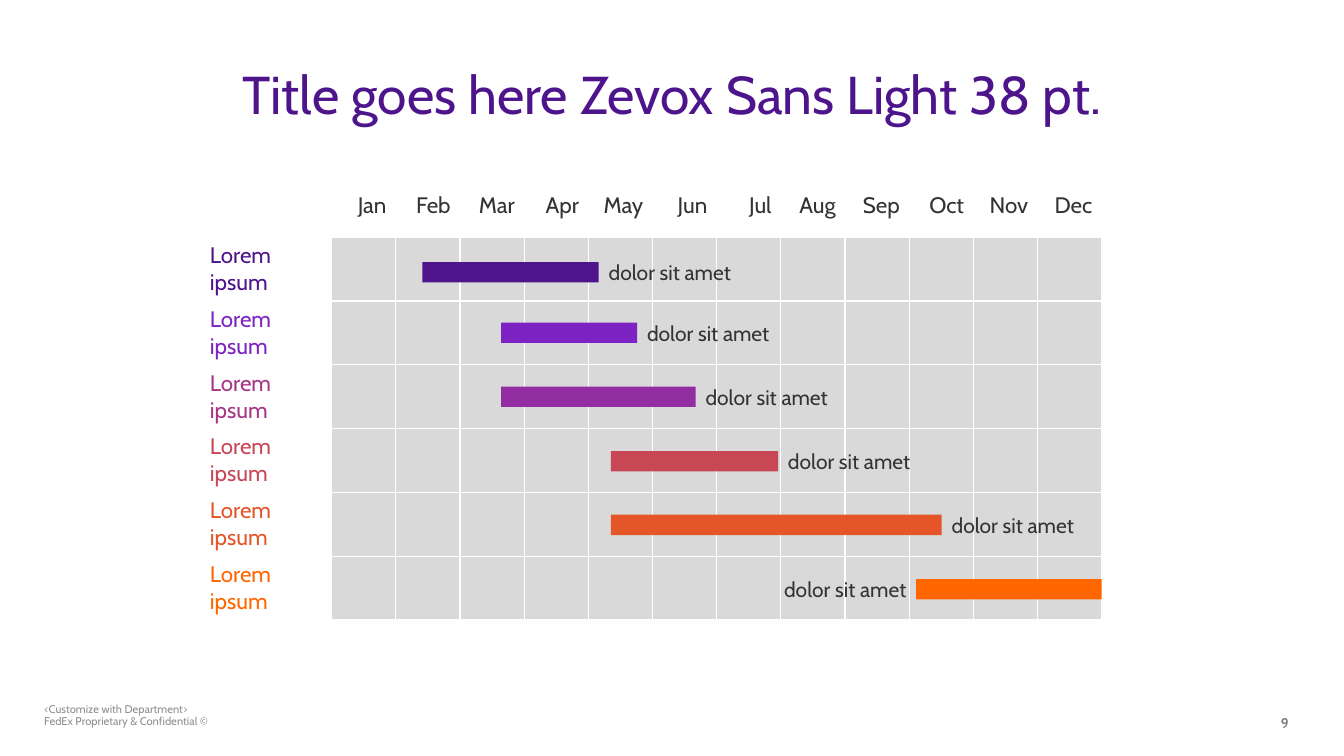
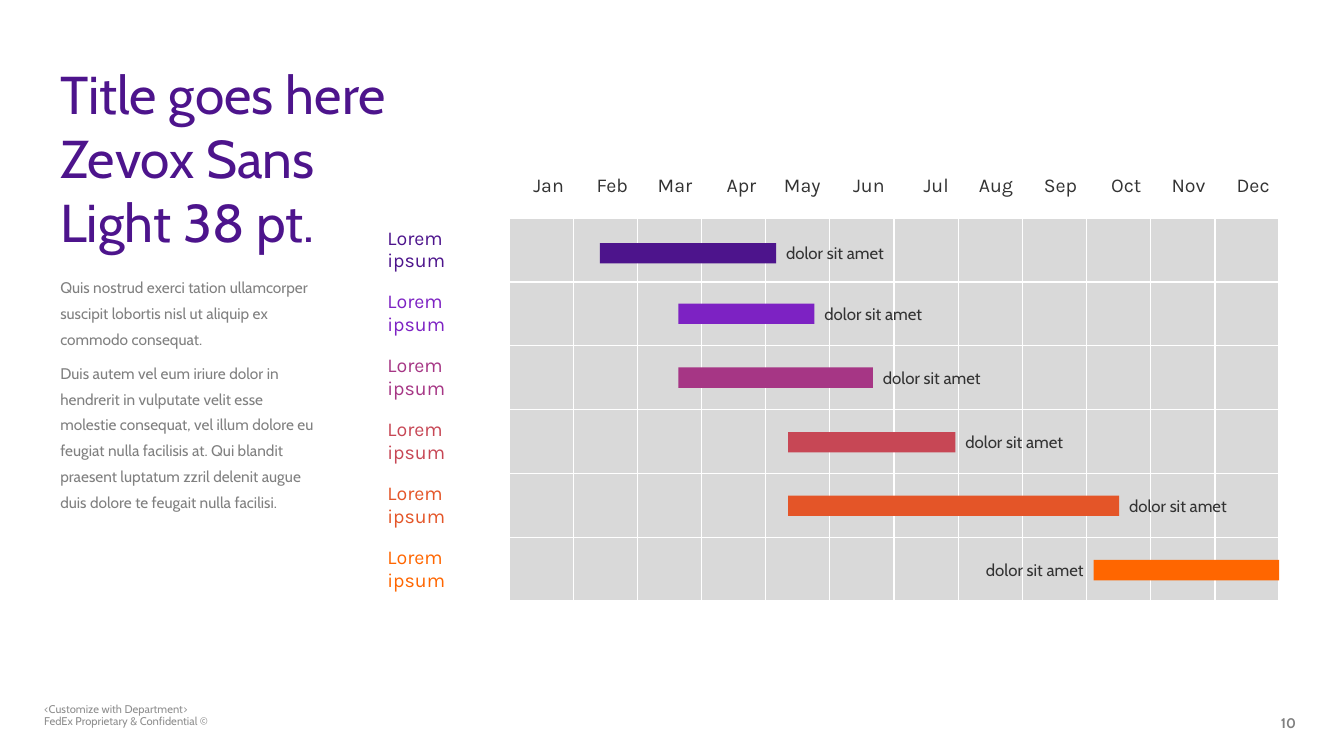
import dataclasses

import lxml.etree
import pptx
import pptx.dml.color
import pptx.enum.shapes
import pptx.enum.text
import pptx.oxml.ns
import pptx.util

Pt = pptx.util.Pt
ALIGN = pptx.enum.text.PP_ALIGN
ANCHOR = pptx.enum.text.MSO_ANCHOR


@dataclasses.dataclass(frozen=True)
class Theme:
    """Colours, fonts and type sizes shared by the slides."""

    purple: str = "4D148C"
    violet: str = "7D22C3"
    orchid: str = "932DA2"
    magenta: str = "A63685"
    red: str = "C74755"
    vermilion: str = "E45528"
    orange: str = "FF6600"
    ink: str = "333333"
    grey: str = "808080"
    footer_grey: str = "8E8E8E"
    grid: str = "D9D9D9"
    white: str = "FFFFFF"
    font: str = "Cabin"
    alternate_font: str = "Karla"
    title_size: float = 38
    body_size: float = 11
    number_size: float = 10
    footer_size: float = 8


@dataclasses.dataclass(frozen=True)
class Task:
    """One bar, measured from the corner of the timetable."""

    left: float
    top: float
    width: float
    label_width: float
    label_first: bool = False


THEME = Theme()
MONTHS = "Jan Feb Mar Apr May Jun Jul Aug Sep Oct Nov Dec".split()
ROW_COLOURS = (THEME.purple, THEME.violet, THEME.magenta,
               THEME.red, THEME.vermilion, THEME.orange)
ROW_NAME = "Lorem ipsum"
TASK_LABEL = "dolor sit amet"
TASKS = (
    Task(158.4, 63.4, 126, 166.3),
    Task(214.6, 106.6, 97.2, 142.6),
    Task(214.6, 152.3, 139, 139),
    Task(293, 198.4, 119.5, 122.4),
    Task(293, 243.8, 236.4, 102),
    Task(511.2, 289.8, 132.5, 121, True),
)
NAME_WIDTH = 93.6
MONTH_WIDTH = 45.84
ROW_HEIGHT = 45.6
BAR_HEIGHT = 14.6

TITLE = "Title goes here Zevox Sans Light 38 pt."
FOOTER = "<Customize with Department>\nFedEx Proprietary & Confidential ©"
BODY = (
    "Quis nostrud exerci tation ullamcorper suscipit lobortis nisl ut "
    "aliquip ex commodo consequat.",
    "Duis autem vel eum iriure dolor in hendrerit in vulputate velit esse "
    "molestie consequat, vel illum dolore eu feugiat nulla facilisis at. "
    "Qui blandit praesent luptatum zzril delenit augue duis dolore te "
    "feugait nulla facilisi.",
)


def rgb(colour):
    """Turn a hex string into a colour."""
    return pptx.dml.color.RGBColor.from_string(colour)


def apply(target, values):
    """Set each named attribute on the target."""
    for name, value in values.items():
        setattr(target, name, value)


def write(paragraph, text, size, colour, font=THEME.font, bold=False, **layout):
    """Fill a paragraph with text in one style."""
    paragraph.text = text
    apply(paragraph, layout)
    for run in paragraph.runs:
        apply(run.font, {"size": Pt(size), "name": font, "bold": bold})
        run.font.color.rgb = rgb(colour)


def text_frame(slide, box, anchor=ANCHOR.TOP):
    """Add a wrapping text box and return its frame."""
    frame = slide.shapes.add_textbox(*map(Pt, box)).text_frame
    apply(frame, {"word_wrap": True, "vertical_anchor": anchor})
    return frame


def add_title(slide, box, alignment):
    """Place the slide title."""
    write(text_frame(slide, box).paragraphs[0], TITLE, THEME.title_size,
          THEME.purple, alignment=alignment, space_after=Pt(6))


def add_body(slide, box):
    """Place the body paragraphs."""
    frame = text_frame(slide, box)
    for index, text in enumerate(BODY):
        paragraph = frame.add_paragraph() if index else frame.paragraphs[0]
        write(paragraph, text, THEME.body_size, THEME.grey,
              line_spacing=Pt(18.4), space_before=Pt(6 if index else 0))


def add_footer(slide, number):
    """Place the department line and the page number."""
    notice = text_frame(slide, (24.5, 499, 279.4, 21.6))
    write(notice.paragraphs[0], FOOTER, THEME.footer_size,
          THEME.footer_grey, line_spacing=0.9)
    page = text_frame(slide, (907.9, 506.9, 28.8, 14.4))
    write(page.paragraphs[0], str(number), THEME.number_size, THEME.grey,
          bold=True)


def add_borders(cell):
    """Rule all four sides of a cell in white."""
    properties = cell._tc.get_or_add_tcPr()
    qn = pptx.oxml.ns.qn
    for index, side in enumerate(("lnL", "lnR", "lnT", "lnB")):
        line = lxml.etree.Element(qn(f"a:{side}"), w=str(Pt(1)))
        fill = lxml.etree.SubElement(line, qn("a:solidFill"))
        lxml.etree.SubElement(fill, qn("a:srgbClr"), val=THEME.white)
        properties.insert(index, line)


def add_timetable(slide, left, top, size, font):
    """Place the month header, the row names and the grid."""
    rows, columns = len(ROW_COLOURS) + 1, len(MONTHS) + 1
    table = slide.shapes.add_table(
        rows, columns, Pt(left), Pt(top),
        Pt(NAME_WIDTH + MONTH_WIDTH * len(MONTHS)), Pt(ROW_HEIGHT * rows)).table
    apply(table, {"first_row": False, "horz_banding": False})
    for index, column in enumerate(table.columns):
        column.width = Pt(MONTH_WIDTH if index else NAME_WIDTH)
    for row in table.rows:
        row.height = Pt(ROW_HEIGHT)
    margins = {"margin_left": Pt(6.7), "margin_right": Pt(6.7),
               "margin_top": Pt(3.4), "margin_bottom": Pt(3.4),
               "vertical_anchor": ANCHOR.MIDDLE}
    for index, cell in enumerate(table.iter_cells()):
        row, column = divmod(index, columns)
        apply(cell, margins)
        if row and column:
            cell.fill.solid()
            cell.fill.fore_color.rgb = rgb(THEME.grid)
        else:
            cell.fill.background()
        if row or column:
            add_borders(cell)
        paragraph = cell.text_frame.paragraphs[0]
        if column and not row:
            write(paragraph, MONTHS[column - 1], size, THEME.ink, font,
                  alignment=ALIGN.RIGHT, space_after=Pt(6))
        elif row and not column:
            write(paragraph, ROW_NAME, size, ROW_COLOURS[row - 1], font,
                  space_after=Pt(6))


def add_task(slide, left, top, task, colour, size, label_height, label_width):
    """Place one bar with its label beside it."""
    bar_left, bar_top = left + task.left, top + task.top
    bar = slide.shapes.add_shape(
        pptx.enum.shapes.MSO_SHAPE.RECTANGLE,
        *map(Pt, (bar_left, bar_top, task.width, BAR_HEIGHT)))
    bar.shadow.inherit = False
    bar.fill.solid()
    bar.fill.fore_color.rgb = rgb(colour)
    bar.line.fill.background()
    label_left = bar_left + (-label_width if task.label_first else task.width)
    label_top = bar_top + (BAR_HEIGHT - label_height) / 2
    frame = text_frame(slide, (label_left, label_top, label_width, label_height),
                       ANCHOR.MIDDLE)
    write(frame.paragraphs[0], TASK_LABEL, size, THEME.ink,
          alignment=ALIGN.RIGHT if task.label_first else ALIGN.LEFT,
          space_after=Pt(6))


def add_schedule(slide, left, top, style):
    """Place the timetable and its tasks from one corner."""
    add_timetable(slide, left, top, style["head_size"], style["head_font"])
    for index, (task, colour) in enumerate(zip(TASKS, style["bar_colours"])):
        wrapped = index in style["wrapped"]
        add_task(slide, left, top, task, colour, style["label_size"],
                 style["label_height"] + wrapped * style["label_size"] * 1.2,
                 task.label_width)


def add_wide_slide(slide, number):
    """Build the slide with a centred title above the schedule."""
    add_schedule(slide, 143.3, 123.8, {
        "head_size": 16, "head_font": THEME.font,
        "label_size": 15, "label_height": 25.2, "wrapped": (4,),
        "bar_colours": ROW_COLOURS[:2] + (THEME.orchid,) + ROW_COLOURS[3:]})
    add_title(slide, (0, 40.3, 960, 53.3), ALIGN.CENTER)
    add_footer(slide, number)


def add_side_slide(slide, number):
    """Build the slide with title and body left of the schedule."""
    add_schedule(slide, 270, 110.2, {
        "head_size": 14, "head_font": THEME.alternate_font,
        "label_size": 12, "label_height": 21.6, "wrapped": (),
        "bar_colours": ROW_COLOURS})
    add_body(slide, (36, 190, 199.4, 198.7))
    add_title(slide, (36, 40.3, 279.4, 145.4), ALIGN.LEFT)
    add_footer(slide, number)


def main():
    """Build and save the presentation."""
    deck = pptx.Presentation()
    apply(deck, {"slide_width": Pt(960), "slide_height": Pt(540)})
    for number, build in enumerate((add_wide_slide, add_side_slide), 9):
        build(deck.slides.add_slide(deck.slide_layouts[6]), number)
    deck.save("out.pptx")


if __name__ == "__main__":
    main()
